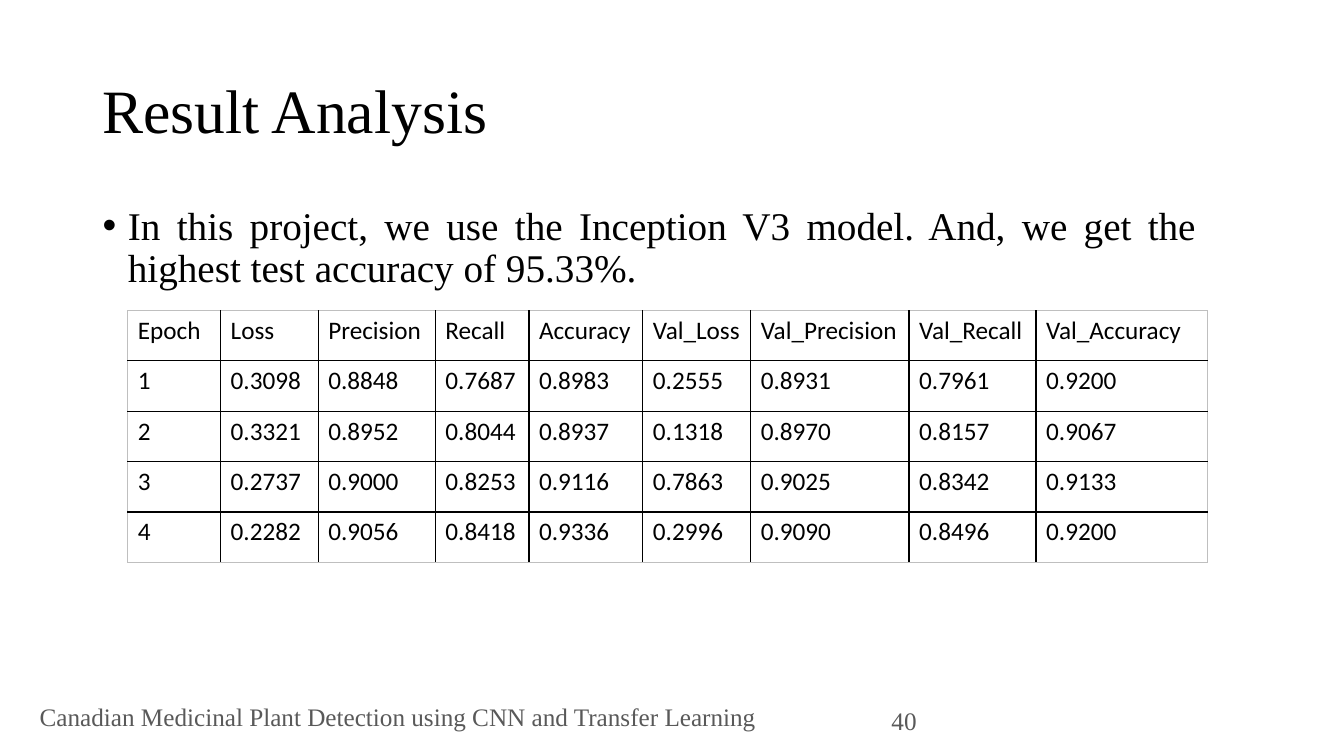
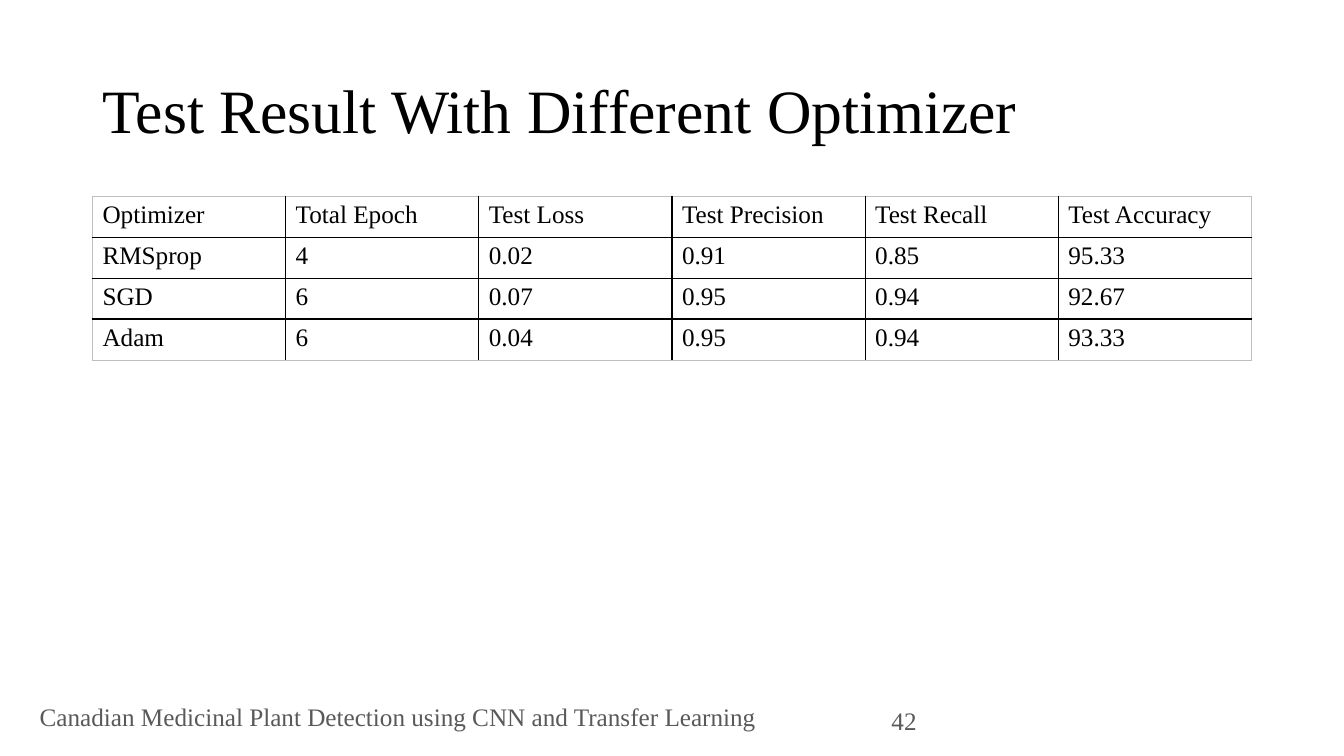
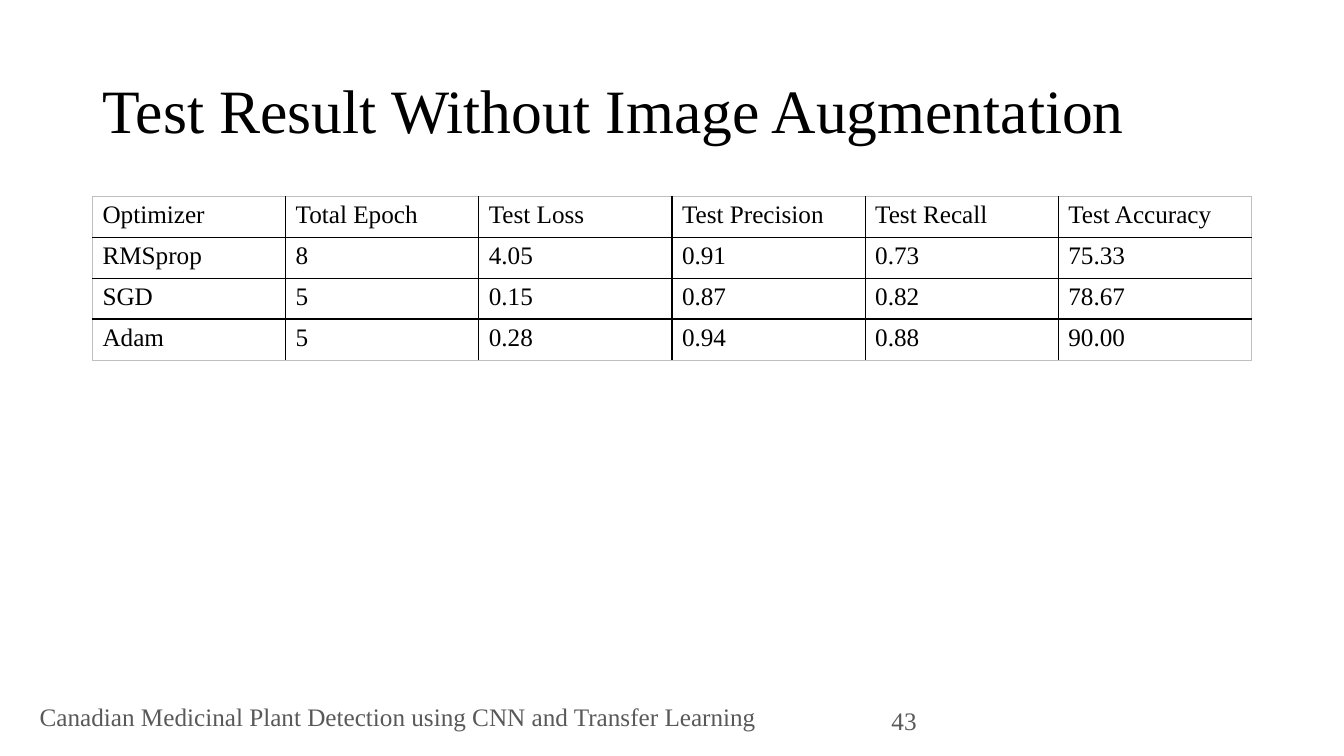
import pptx
import pptx.util
import pptx.dml.color
import pptx.enum.text
import pptx.oxml
import pptx.oxml.ns
import pptx.oxml.xmlchemy

Cm, Pt = pptx.util.Cm, pptx.util.Pt
ALIGN = pptx.enum.text.PP_ALIGN
ANCHOR = pptx.enum.text.MSO_ANCHOR

COLORS = {"text": "000000", "footer": "595959", "grid": "000000", "frame": "BFBFBF"}
SERIF, SANS = "Times New Roman", "Calibri"

# Boxes are left, top, width, height in centimetres.
TITLE_BOX = (2.33, 1.01, 29.21, 3.68)
BODY_BOX = (2.33, 5.07, 28.07, 12.09)
FOOTER_BOX = (0.05, 17.45, 19.96, 1.22)
NUMBER_BOX = (21.39, 17.65, 1.96, 1.02)
OPTIMIZER_BOX = (2.33, 4.95, 29.21, 4.12)
EPOCH_LEFT, EPOCH_TOP, EPOCH_ROW = 3.22, 7.82, 1.27
EPOCH_COLS = (2.34, 2.46, 2.95, 2.36, 2.87, 2.72, 3.99, 3.2, 4.32)

FOOTER = "Canadian Medicinal Plant Detection using CNN and Transfer Learning"
EPOCH_ROWS = [
    ("Epoch", "Loss", "Precision", "Recall", "Accuracy",
     "Val_Loss", "Val_Precision", "Val_Recall", "Val_Accuracy"),
    ("1", "0.3098", "0.8848", "0.7687", "0.8983", "0.2555", "0.8931", "0.7961", "0.9200"),
    ("2", "0.3321", "0.8952", "0.8044", "0.8937", "0.1318", "0.8970", "0.8157", "0.9067"),
    ("3", "0.2737", "0.9000", "0.8253", "0.9116", "0.7863", "0.9025", "0.8342", "0.9133"),
    ("4", "0.2282", "0.9056", "0.8418", "0.9336", "0.2996", "0.9090", "0.8496", "0.9200"),
]
OPTIMIZER_HEAD = ("Optimizer", "Total Epoch", "Test Loss",
                  "Test Precision", "Test Recall", "Test Accuracy")
OPTIMIZER_SLIDES = [
    ("Test Result With Different Optimizer", "42", [
        ("RMSprop", "4", "0.02", "0.91", "0.85", "95.33"),
        ("SGD", "6", "0.07", "0.95", "0.94", "92.67"),
        ("Adam", "6", "0.04", "0.95", "0.94", "93.33"),
    ]),
    ("Test Result Without Image Augmentation", "43", [
        ("RMSprop", "8", "4.05", "0.91", "0.73", "75.33"),
        ("SGD", "5", "0.15", "0.87", "0.82", "78.67"),
        ("Adam", "5", "0.28", "0.94", "0.88", "90.00"),
    ]),
]


def write(tf, text, size, font=SERIF, color="text", align=ALIGN.LEFT):
    p = tf.paragraphs[0]
    p.alignment = align
    r = p.add_run()
    r.text = text
    r.font.name, r.font.size, r.font.bold = font, Pt(size), False
    r.font.color.rgb = pptx.dml.color.RGBColor.from_string(COLORS[color])
    return p


def place(sp, box):
    sp.left, sp.top, sp.width, sp.height = map(Cm, box)


def add_label(s, box, text, align, anchor):
    tf = s.shapes.add_textbox(*map(Cm, box)).text_frame
    tf.word_wrap = True
    tf.vertical_anchor = anchor
    write(tf, text, 18, color="footer", align=align)


def add_slide(prs, layout, title, number):
    """Add a slide with the shared title style, footer and page number."""
    s = prs.slides.add_slide(prs.slide_layouts[layout])
    place(s.shapes.title, TITLE_BOX)
    tf = s.shapes.title.text_frame
    tf.auto_size = pptx.enum.text.MSO_AUTO_SIZE.NONE
    tf.vertical_anchor = ANCHOR.MIDDLE
    write(tf, title, 44).line_spacing = 0.9
    add_label(s, FOOTER_BOX, FOOTER, ALIGN.CENTER, ANCHOR.MIDDLE)
    add_label(s, NUMBER_BOX, number, ALIGN.RIGHT, ANCHOR.TOP)
    return s


def fill_body(sp, text):
    place(sp, BODY_BOX)
    tf = sp.text_frame
    tf.auto_size = pptx.enum.text.MSO_AUTO_SIZE.NONE
    p = write(tf, text, 28, align=ALIGN.JUSTIFY)
    p.line_spacing, p.space_before = 0.9, Pt(0)
    pPr = p._p.get_or_add_pPr()
    pPr.set("marL", str(Cm(0.64)))
    pPr.set("indent", str(Cm(-0.64)))


def set_borders(cell, edges):
    """Draw each (side, is_outer) edge: a light frame outside, a dark grid inside."""
    tcPr = cell._tc.get_or_add_tcPr()
    for side, outer in edges:
        color, width = (COLORS["frame"], Pt(0.5)) if outer else (COLORS["grid"], Pt(1))
        tcPr.append(pptx.oxml.parse_xml(
            f'<a:ln{side} {pptx.oxml.ns.nsdecls("a")} w="{width}"><a:solidFill>'
            f'<a:srgbClr val="{color}"/></a:solidFill></a:ln{side}>'))


def add_grid(s, left, top, cols, row_height, rows, font):
    last_row, last_col = len(rows) - 1, len(cols) - 1
    table = s.shapes.add_table(len(rows), len(cols), Cm(left), Cm(top),
                               Cm(sum(cols)), Cm(row_height * len(rows))).table
    table.first_row = table.horz_banding = False
    for column, width in zip(table.columns, cols):
        column.width = Cm(width)
    for i, values in enumerate(rows):
        table.rows[i].height = Cm(row_height)
        for j, value in enumerate(values):
            cell = table.cell(i, j)
            write(cell.text_frame, value, 18, font)
            set_borders(cell, (("L", j == 0), ("R", j == last_col),
                               ("T", i == 0), ("B", i == last_row)))
            cell.fill.background()


def epoch_slide(prs):
    s = add_slide(prs, 1, "Result Analysis", "40")
    fill_body(s.placeholders[1], "In this project, we use the Inception V3 model. "
              "And, we get the highest test accuracy of 95.33%.")
    add_grid(s, EPOCH_LEFT, EPOCH_TOP, EPOCH_COLS, EPOCH_ROW, EPOCH_ROWS, SANS)


def optimizer_slide(prs, title, number, results):
    s = add_slide(prs, 5, title, number)
    rows = [OPTIMIZER_HEAD, *results]
    left, top, width, height = OPTIMIZER_BOX
    cols = [width / len(OPTIMIZER_HEAD)] * len(OPTIMIZER_HEAD)
    add_grid(s, left, top, cols, height / len(rows), rows, SERIF)


def main():
    prs = pptx.Presentation()
    prs.slide_width, prs.slide_height = Cm(33.87), Cm(19.05)
    epoch_slide(prs)
    for title, number, results in OPTIMIZER_SLIDES:
        optimizer_slide(prs, title, number, results)
    prs.save("out.pptx")


if __name__ == "__main__":
    main()
